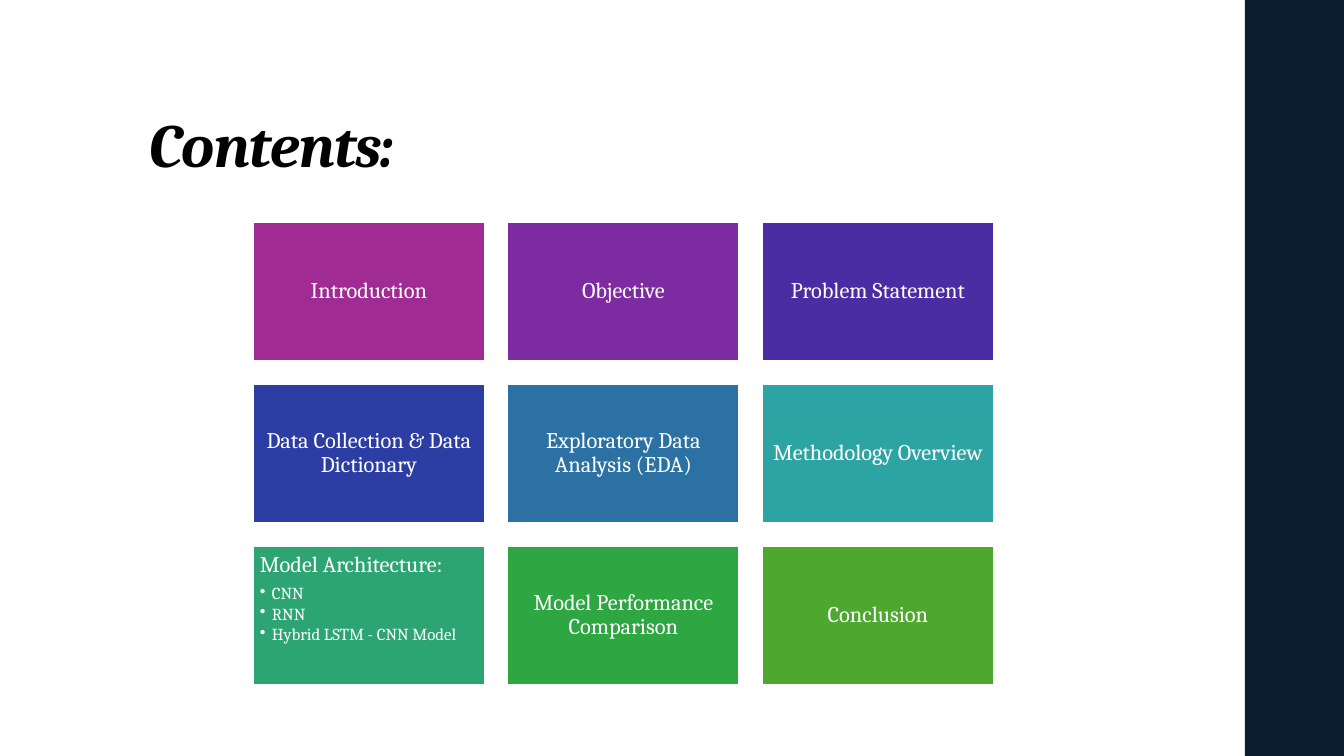
"""Build the contents slide: a title, a side band and a grid of topic tiles."""
from lxml import etree
from pptx import Presentation
from pptx.dml.color import RGBColor
from pptx.enum.shapes import MSO_SHAPE
from pptx.enum.text import MSO_ANCHOR, PP_ALIGN
from pptx.oxml.ns import qn
from pptx.util import Pt

RECTANGLE = MSO_SHAPE.RECTANGLE
TOP, MIDDLE, BOTTOM = MSO_ANCHOR.TOP, MSO_ANCHOR.MIDDLE, MSO_ANCHOR.BOTTOM
LEFT, CENTER = PP_ALIGN.LEFT, PP_ALIGN.CENTER

BLACK = RGBColor(0x00, 0x00, 0x00)
WHITE = RGBColor(0xFF, 0xFF, 0xFF)
NAVY = RGBColor(0x0B, 0x1E, 0x31)
MAGENTA = RGBColor(0xA0, 0x2B, 0x93)
PURPLE = RGBColor(0x7C, 0x2B, 0xA1)
VIOLET = RGBColor(0x4B, 0x2C, 0xA2)
INDIGO = RGBColor(0x2C, 0x3E, 0xA3)
BLUE = RGBColor(0x2C, 0x71, 0xA4)
TEAL = RGBColor(0x2D, 0xA4, 0xA4)
JADE = RGBColor(0x2D, 0xA5, 0x73)
GREEN = RGBColor(0x2E, 0xA6, 0x41)
LIME = RGBColor(0x4E, 0xA7, 0x2E)

FONT = "Cambria"
TITLE = "Contents:"
TOPICS = [
    ("Introduction", MAGENTA, []),
    ("Objective", PURPLE, []),
    ("Problem Statement", VIOLET, []),
    ("Data Collection & Data Dictionary", INDIGO, []),
    ("Exploratory Data Analysis (EDA)", BLUE, []),
    ("Methodology Overview", TEAL, []),
    ("Model Architecture:", JADE, ["CNN", "RNN", "Hybrid LSTM - CNN Model"]),
    ("Model Performance Comparison", GREEN, []),
    ("Conclusion", LIME, []),
]

SLIDE_W, SLIDE_H = 1344, 756
BAND_X, BAND_W = 1245, 101
TITLE_BOX = (139, 40, 1068, 146)
COLUMNS = 3
GRID_X, GRID_Y, GRID_W, GRID_H = 253, 222, 741, 463
TILE_W, TILE_H = 232, 139
TILE_INSET, BULLET_INDENT = 7, 12


def px(length):
    """Turn px into EMU."""
    return round(length * 914400 / 100.8)


def add_block(slide, box, fill):
    """Add a flat rectangle."""
    block = slide.shapes.add_shape(RECTANGLE, *map(px, box))
    block.shadow.inherit = False
    block.fill.solid()
    block.fill.fore_color.rgb = fill
    block.line.fill.background()
    return block


def write(paragraph, text, size, color, align=LEFT, space_after=0):
    """Set and format the text of a paragraph, and return its run."""
    paragraph.text = text
    paragraph.alignment = align
    paragraph.line_spacing = 0.9
    paragraph.space_after = Pt(space_after)
    run = paragraph.runs[0]
    run.font.name = FONT
    run.font.size = Pt(size)
    run.font.color.rgb = color
    return run


def add_bullet(paragraph):
    """Give a paragraph a hanging bullet."""
    properties = paragraph._p.get_or_add_pPr()
    properties.set("marL", str(px(BULLET_INDENT)))
    properties.set("indent", str(-px(BULLET_INDENT)))
    etree.SubElement(properties, qn("a:buChar"), char="•")


def add_title(slide):
    """Add the slide title."""
    frame = slide.shapes.add_textbox(*map(px, TITLE_BOX)).text_frame
    frame.word_wrap = True
    frame.vertical_anchor = BOTTOM
    run = write(frame.paragraphs[0], TITLE, 44, BLACK)
    run.font.bold = run.font.italic = True
    run._r.get_or_add_rPr().set("spc", "-50")


def add_tile(slide, box, topic, fill, details):
    """Add one topic tile, with its details as bullets."""
    tile = add_block(slide, box, fill)
    tile.line.color.rgb = WHITE
    tile.line.width = Pt(1.35)
    frame = tile.text_frame
    frame.word_wrap = True
    frame.vertical_anchor = TOP if details else MIDDLE
    frame.margin_left = frame.margin_right = px(TILE_INSET)
    frame.margin_top = frame.margin_bottom = px(TILE_INSET)
    write(frame.paragraphs[0], topic, 16, WHITE, LEFT if details else CENTER, 5.6)
    for detail in details:
        paragraph = frame.add_paragraph()
        paragraph.level = 1
        write(paragraph, detail, 12, WHITE, space_after=1.8)
        add_bullet(paragraph)


def main():
    """Build and save the slide."""
    deck = Presentation()
    deck.slide_width, deck.slide_height = px(SLIDE_W), px(SLIDE_H)
    slide = deck.slides.add_slide(deck.slide_layouts[6])
    add_block(slide, (BAND_X, 0, SLIDE_W - BAND_X, SLIDE_H), NAVY)
    add_title(slide)
    rows = len(TOPICS) // COLUMNS
    step_x = (GRID_W - TILE_W) / (COLUMNS - 1)
    step_y = (GRID_H - TILE_H) / (rows - 1)
    for index, (topic, fill, details) in enumerate(TOPICS):
        row, column = divmod(index, COLUMNS)
        box = (GRID_X + column * step_x, GRID_Y + row * step_y, TILE_W, TILE_H)
        add_tile(slide, box, topic, fill, details)
    deck.save("out.pptx")


if __name__ == "__main__":
    main()
